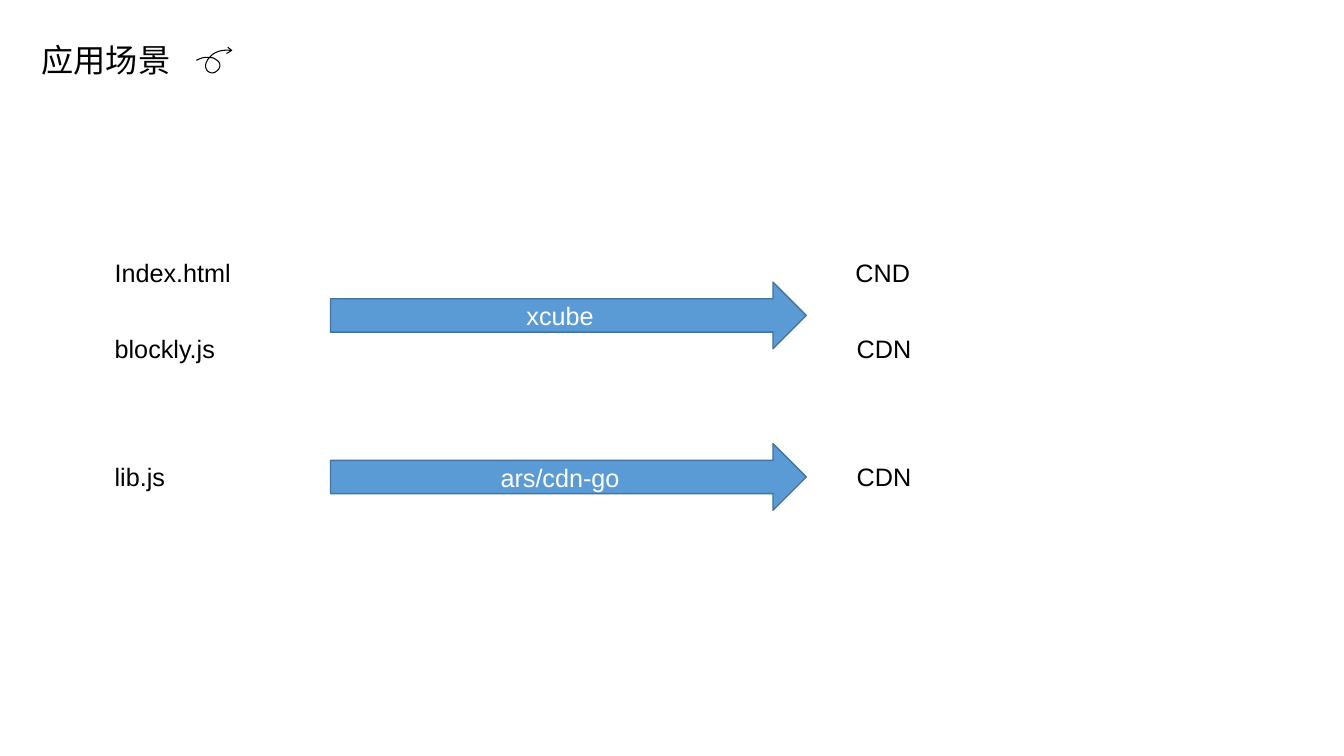
import pptx
import pptx.util
import pptx.dml.color
import pptx.enum.shapes
import pptx.enum.text

Cm, Pt = pptx.util.Cm, pptx.util.Pt
Align = pptx.enum.text.PP_ALIGN
Anchor = pptx.enum.text.MSO_ANCHOR
Auto = pptx.enum.text.MSO_AUTO_SIZE

HUES = {"ink": "000000", "paper": "FFFFFF", "blue": "5B9BD5", "edge": "43739E"}
TITLE = "应用场景"
# file, target, top, left of target, width of target
ROWS = [
    ("Index.html", "CND", 6.35, 21.31, 4.78),
    ("blockly.js", "CDN", 8.28, 21.34, 2.36),
    ("lib.js", "CDN", 11.51, 21.34, 2.54),
]
ARROWS = [("xcube", 7.11), ("ars/cdn-go", 11.18)]
LEFT, WIDE, HIGH = 2.64, 4.78, 1.02

# Swirl: a start, then two handles and an end for each curve
START = (4.95, 1.52)
CURVES = [
    ((5.0, 1.5), (5.13, 1.42), (5.28, 1.45)),
    ((5.36, 1.45), (5.41, 1.47), (5.44, 1.5)),
    ((5.56, 1.57), (5.56, 1.65), (5.52, 1.73)),
    ((5.47, 1.8), (5.38, 1.87), (5.28, 1.82)),
    ((5.19, 1.78), (5.17, 1.68), (5.19, 1.6)),
    ((5.21, 1.55), (5.23, 1.5), (5.28, 1.45)),
    ((5.38, 1.32), (5.56, 1.24), (5.84, 1.27)),
]
TIP = [(5.74, 1.19), (5.84, 1.27), (5.71, 1.35)]
STEPS = 8


def hue(name):
    """Return the named colour."""
    return pptx.dml.color.RGBColor.from_string(HUES[name])


def apply(item, style):
    """Set each attribute in style on item."""
    for key, value in style.items():
        setattr(item, key, value)


def write(shape, text, size=18, ink="ink", align=Align.LEFT, **frame):
    """Put one formatted line of text in a shape."""
    body = shape.text_frame
    body.text = text
    apply(body, frame)
    line = body.paragraphs[0]
    line.alignment = align
    apply(line.runs[0].font, {"size": Pt(size), "name": "Arial"})
    line.runs[0].font.color.rgb = hue(ink)


def label(slide, text, left, top, width):
    """Add a plain text box."""
    box = slide.shapes.add_textbox(Cm(left), Cm(top), Cm(width), Cm(HIGH))
    write(box, text, word_wrap=True, auto_size=Auto.SHAPE_TO_FIT_TEXT)


def arrow(slide, text, top):
    """Add a block arrow with its caption."""
    kind = pptx.enum.shapes.MSO_SHAPE.RIGHT_ARROW
    shape = slide.shapes.add_shape(kind, Cm(8.33), Cm(top), Cm(11.99), Cm(1.68))
    shape.shadow.inherit = False
    shape.fill.solid()
    shape.fill.fore_color.rgb = hue("blue")
    shape.line.color.rgb = hue("edge")
    shape.line.width = Pt(1)
    write(shape, text, ink="paper", align=Align.CENTER,
          vertical_anchor=Anchor.MIDDLE)


def trace(start, curves):
    """Return points along a chain of cubic curves."""
    points = [start]
    for one, two, end in curves:
        for step in range(1, STEPS + 1):
            t = step / STEPS
            s = 1 - t
            points.append(tuple(
                s**3 * a + 3 * s * s * t * b + 3 * s * t * t * c + t**3 * d
                for a, b, c, d in zip(start, one, two, end)))
        start = end
    return points


def swirl(slide):
    """Draw the looped arrow beside the title."""
    loop, tip = ([(Cm(x), Cm(y)) for x, y in part]
                 for part in (trace(START, CURVES), TIP))
    pen = slide.shapes.build_freeform(*loop[0])
    pen.add_line_segments(loop[1:], close=False)
    pen.move_to(*tip[0])
    pen.add_line_segments(tip[1:], close=False)
    shape = pen.convert_to_shape()
    shape.shadow.inherit = False
    shape.fill.background()
    shape.line.color.rgb = hue("ink")
    shape.line.width = Pt(0.75)


deck = pptx.Presentation()
apply(deck, {"slide_width": Cm(33.87), "slide_height": Cm(19.05)})
slide = deck.slides.add_slide(deck.slide_layouts[5])
title = slide.shapes.title
apply(title, {"left": Cm(0.79), "top": Cm(0.89),
              "width": Cm(3.78), "height": Cm(1.24)})
write(title, TITLE, size=23, word_wrap=False, vertical_anchor=Anchor.TOP,
      auto_size=Auto.SHAPE_TO_FIT_TEXT)
swirl(slide)
for name, goal, top, left, width in ROWS:
    label(slide, name, LEFT, top, WIDE)
    label(slide, goal, left, top, width)
for text, top in ARROWS:
    arrow(slide, text, top)
deck.save("out.pptx")
